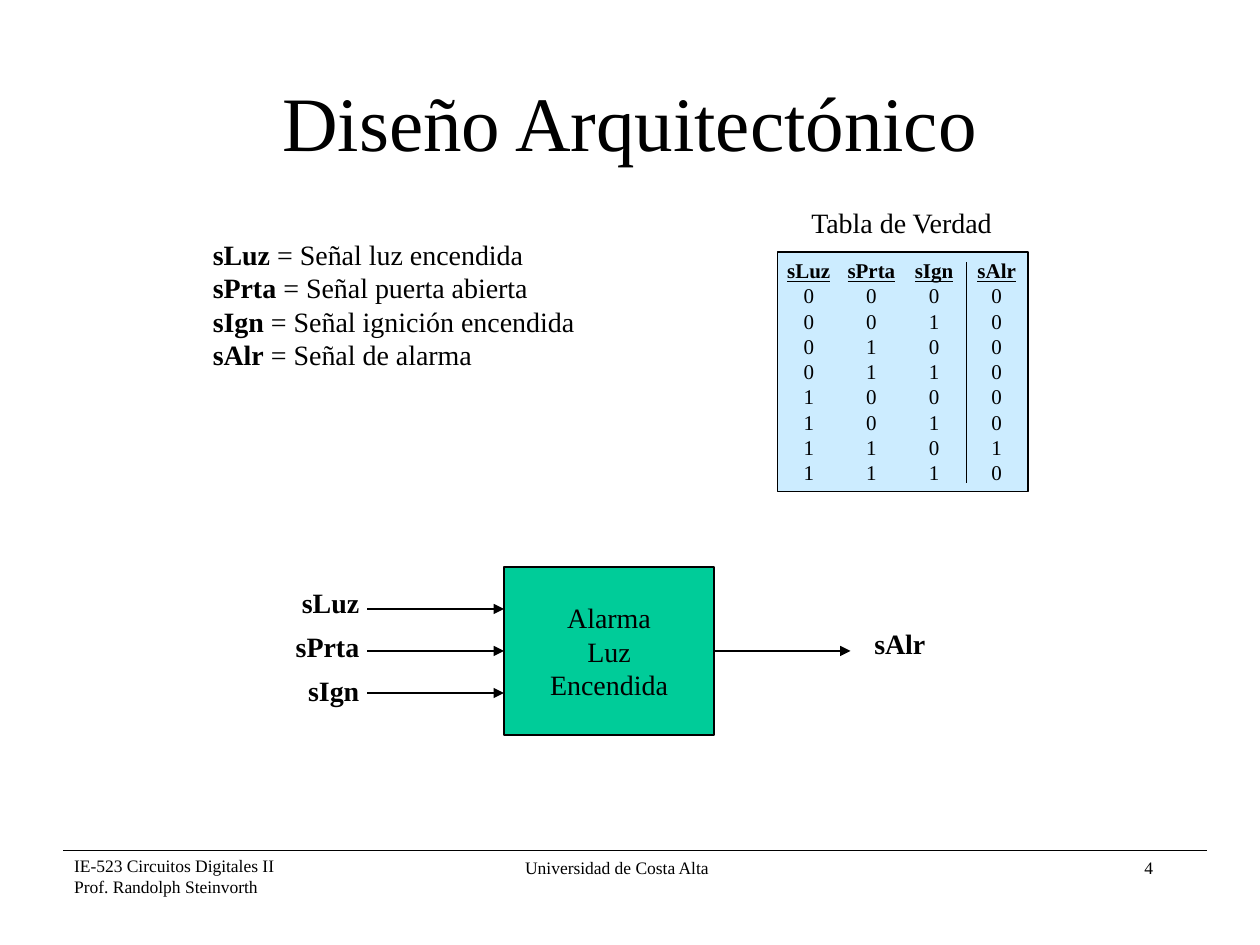
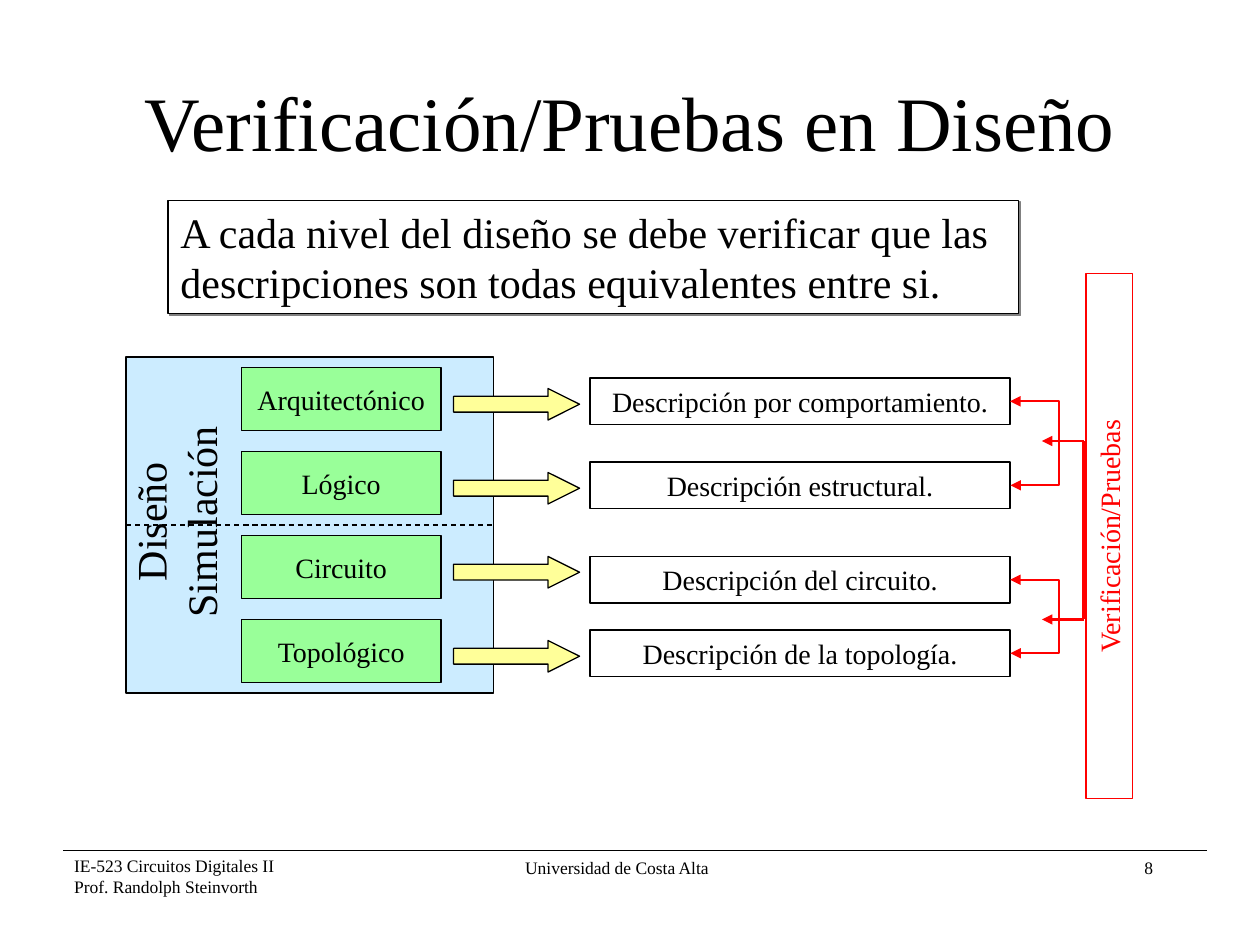
from dataclasses import dataclass

from lxml import etree
from pptx import Presentation
from pptx.dml.color import RGBColor
from pptx.enum.dml import MSO_LINE
from pptx.enum.shapes import MSO_CONNECTOR, MSO_SHAPE
from pptx.enum.text import MSO_ANCHOR, PP_ALIGN
from pptx.oxml.ns import qn
from pptx.util import Pt

RECT, ARROW = MSO_SHAPE.RECTANGLE, MSO_SHAPE.RIGHT_ARROW
LINE, ELBOW = MSO_CONNECTOR.STRAIGHT, MSO_CONNECTOR.ELBOW
LEFT, MID, RIGHT = PP_ALIGN.LEFT, PP_ALIGN.CENTER, PP_ALIGN.RIGHT
TOP, CENTER = MSO_ANCHOR.TOP, MSO_ANCHOR.MIDDLE
DASH = MSO_LINE.DASH
FONT = "Times New Roman"
BLACK, WHITE, RED, GRAY = "000000", "FFFFFF", "FF0000", "808080"
SKY, TEAL, GREEN, YELLOW = "CCECFF", "00CC99", "99FF99", "FFFF99"
PLAIN = "{2D5ABB26-0587-4C30-8999-92F81FD0307C}"


@dataclass(frozen=True)
class Run:
    text: str
    bold: bool = False
    under: bool = False


@dataclass(frozen=True)
class Style:
    size: float = 16
    color: str = BLACK
    align: PP_ALIGN = LEFT
    anchor: MSO_ANCHOR = TOP
    wrap: bool = False
    pitch: float | None = None


@dataclass(frozen=True)
class Box:
    left: float
    top: float
    width: float
    height: float
    fill: str | None = None
    line: str = BLACK
    weight: float = 0.75
    turn: float = 0

    def frame(self) -> tuple:
        return tuple(Pt(n) for n in (self.left, self.top, self.width, self.height))


@dataclass(frozen=True)
class Wire:
    x1: float
    y1: float
    x2: float
    y2: float
    color: str = BLACK
    weight: float = 0.75
    head: bool = False
    tail: bool = False
    dash: bool = False


def tint(text: str) -> RGBColor:
    return RGBColor.from_string(text)


def write(frame, lines: list, style: Style) -> None:
    frame.word_wrap = style.wrap
    frame.vertical_anchor = style.anchor
    for i, line in enumerate(lines):
        para = frame.paragraphs[0] if i == 0 else frame.add_paragraph()
        para.alignment = style.align
        if style.pitch:
            para.line_spacing = Pt(style.pitch)
        for part in (Run(line),) if isinstance(line, str) else line:
            run = para.add_run()
            run.text = part.text
            font = run.font
            font.name, font.size = FONT, Pt(style.size)
            font.bold, font.underline = part.bold, part.under
            font.color.rgb = tint(style.color)


def label(slide, box: Box, lines: list, style: Style) -> None:
    shape = slide.shapes.add_textbox(*box.frame())
    shape.rotation = box.turn
    write(shape.text_frame, lines, style)


def draw(slide, box: Box, lines: tuple | list = (), style: Style = Style(), kind=RECT):
    shape = slide.shapes.add_shape(kind, *box.frame())
    shape.shadow.inherit = False
    shape.rotation = box.turn
    if box.fill:
        shape.fill.solid()
        shape.fill.fore_color.rgb = tint(box.fill)
    else:
        shape.fill.background()
    shape.line.color.rgb = tint(box.line)
    shape.line.width = Pt(box.weight)
    if lines:
        write(shape.text_frame, lines, style)
    return shape


def link(slide, wire: Wire, kind=LINE, start=None, end=None):
    ends = (Pt(n) for n in (wire.x1, wire.y1, wire.x2, wire.y2))
    edge = slide.shapes.add_connector(kind, *ends)
    if start:
        edge.begin_connect(*start)
    if end:
        edge.end_connect(*end)
    edge.line.color.rgb = tint(wire.color)
    edge.line.width = Pt(wire.weight)
    if wire.dash:
        edge.line.dash_style = DASH
    props = edge.element.spPr
    stroke = props.find(qn("a:ln"))
    for tag, shown in (("a:headEnd", wire.head), ("a:tailEnd", wire.tail)):
        if shown:
            etree.SubElement(stroke, qn(tag), type="triangle")
    etree.SubElement(props, qn("a:effectLst"))
    return edge


def clasp(slide, upper, lower) -> None:
    reach, width = 28.08, 0.2
    x = (upper.left + upper.width) / Pt(1)
    y1, y2 = ((card.top + card.height / 2) / Pt(1) for card in (upper, lower))
    wire = Wire(x, y1, x + width, y2, RED, 1, head=True, tail=True)
    edge = link(slide, wire, ELBOW, (upper, 3), (lower, 3))
    edge.width = Pt(width)
    geom = edge.element.spPr.find(qn("a:prstGeom"))
    guides = geom.find(qn("a:avLst"))
    if guides is None:
        guides = etree.SubElement(geom, qn("a:avLst"))
    value = round(reach / width * 100000)
    etree.SubElement(guides, qn("a:gd"), name="adj1", fmla=f"val {value}")


def shade(shape) -> None:
    effects = shape.element.spPr.find(qn("a:effectLst"))
    cast = etree.SubElement(effects, qn("a:outerShdw"), dist=str(Pt(1.4)),
                            dir="2700000", algn="ctr", rotWithShape="0")
    etree.SubElement(cast, qn("a:srgbClr"), val=GRAY)


def start(deck, title: str, page: int):
    slide = deck.slides.add_slide(deck.slide_layouts[5])
    slide.background.fill.solid()
    slide.background.fill.fore_color.rgb = tint(WHITE)
    small = Style(10)
    label(slide, Box(594, 486, 72, 19.44), [str(page)], Style(10, align=RIGHT, wrap=True))
    link(slide, Wire(36, 486, 690, 486))
    label(slide, Box(35.28, 484.9, 136, 31.68),
          ["IE-523 Circuitos Digitales II", "Prof. Randolph Steinvorth"], small)
    label(slide, Box(293.04, 486, 128, 19.44), ["Universidad de Costa Alta"], small)
    head = slide.shapes.title
    head.left, head.top, head.width, head.height = Box(54, 24, 612, 90).frame()
    write(head.text_frame, [title], Style(44, align=MID, anchor=CENTER, wrap=True))
    return slide


def truth(slide) -> None:
    panel = Box(444.24, 144, 143.28, 136.8, SKY)
    draw(slide, panel)
    names = ("sLuz", "sPrta", "sIgn", "sAlr")
    rows = [[Run(name, True, True) for name in names]]
    for n in range(8):
        bits = [n >> 2 & 1, n >> 1 & 1, n & 1]
        rows.append([Run(str(bit)) for bit in bits + [int(n == 6)]])
    pitch = 14.4
    area = Box(panel.left, panel.top + 4.6, panel.width, pitch * len(rows))
    frame = slide.shapes.add_table(len(rows), len(names), *area.frame())
    grid = frame.table
    grid.first_row = grid.horz_banding = False
    next(frame.element.iter(qn("a:tableStyleId"))).text = PLAIN
    for r, row in enumerate(rows):
        grid.rows[r].height = Pt(pitch)
        for c, part in enumerate(row):
            cell = grid.cell(r, c)
            cell.fill.background()
            cell.margin_left = cell.margin_right = 0
            cell.margin_top = cell.margin_bottom = 0
            write(cell.text_frame, [(part,)], Style(12, align=MID, wrap=True))
    link(slide, Wire(552.24, 150, 552.24, 276))


def design(deck) -> None:
    slide = start(deck, "Diseño Arquitectónico", 4)
    terms = {
        "sLuz": "Señal luz encendida",
        "sPrta": "Señal puerta abierta",
        "sIgn": "Señal ignición encendida",
        "sAlr": "Señal de alarma",
    }
    lines = [(Run(name, True), Run(f" = {text}")) for name, text in terms.items()]
    label(slide, Box(114.48, 132, 228, 84.24), lines, Style())
    truth(slide)
    label(slide, Box(456.48, 113.76, 126, 26.64), ["Tabla de Verdad"], Style())

    block = draw(slide, Box(288, 324, 120, 96, TEAL, weight=1),
                 ["Alarma", "Luz", "Encendida"], Style(align=MID, anchor=CENTER))
    link(slide, Wire(408, 372, 486, 372, tail=True), start=(block, 3))
    for y in (348, 372, 396):
        join = (block, 1) if y == 372 else None
        link(slide, Wire(210, y, 288, y, tail=True), end=join)
    *inputs, output = [(Run(name, True),) for name in terms]
    label(slide, Box(152.4, 325.44, 60, 82.08), inputs, Style(align=RIGHT, pitch=25))
    label(slide, Box(492.48, 354.24, 54, 26.64), [output], Style())


def checks(deck) -> None:
    slide = start(deck, "Verificación/Pruebas en Diseño", 8)
    panel = draw(slide, Box(72, 204, 210, 192, SKY))
    pitch = 48
    steps = ("Arquitectónico", "Lógico", "Circuito", "Topológico")
    for i, step in enumerate(steps):
        draw(slide, Box(138, 210 + i * pitch, 114, 36, GREEN), [step],
             Style(align=MID, anchor=CENTER))
    link(slide, Wire(72, 300, 282, 300, dash=True), start=(panel, 1), end=(panel, 3))
    label(slide, Box(38.16, 265.68, 123.84, 64.8, turn=270),
          ["Diseño", "Simulación"], Style(24, align=MID))

    notes = (
        (216, "Descripción por comportamiento."),
        (264, "Descripción estructural."),
        (318, "Descripción del circuito."),
        (360, "Descripción de la topología."),
    )
    cards = [draw(slide, Box(337.2, top, 240, 26.64), [text], Style(align=MID, wrap=True))
             for top, text in notes]
    clasp(slide, cards[0], cards[1])
    clasp(slide, cards[2], cards[3])
    for y in (252, 354):
        link(slide, Wire(595.44, y, 619.2, y, RED, 1.5, head=True))
    link(slide, Wire(619.2, 252, 619.2, 354, RED, 1.5))

    for i in range(len(steps)):
        arrow = draw(slide, Box(259.2, 222 + i * pitch, 72, 18, YELLOW), kind=ARROW)
        arrow.adjustments[0], arrow.adjustments[1] = 0.5, 1
    draw(slide, Box(483.84, 293.04, 300, 26.64, WHITE, RED, turn=270),
         ["Verificación/Pruebas"], Style(color=RED, align=MID, wrap=True))
    claim = draw(slide, Box(96, 114.48, 486, 64.8, WHITE),
                 ["A cada nivel del diseño se debe verificar que las "
                  "descripciones son todas equivalentes entre si."], Style(24, wrap=True))
    shade(claim)


def main() -> None:
    deck = Presentation()
    deck.slide_width, deck.slide_height = Pt(720), Pt(540)
    design(deck)
    checks(deck)
    deck.save("out.pptx")


if __name__ == "__main__":
    main()
